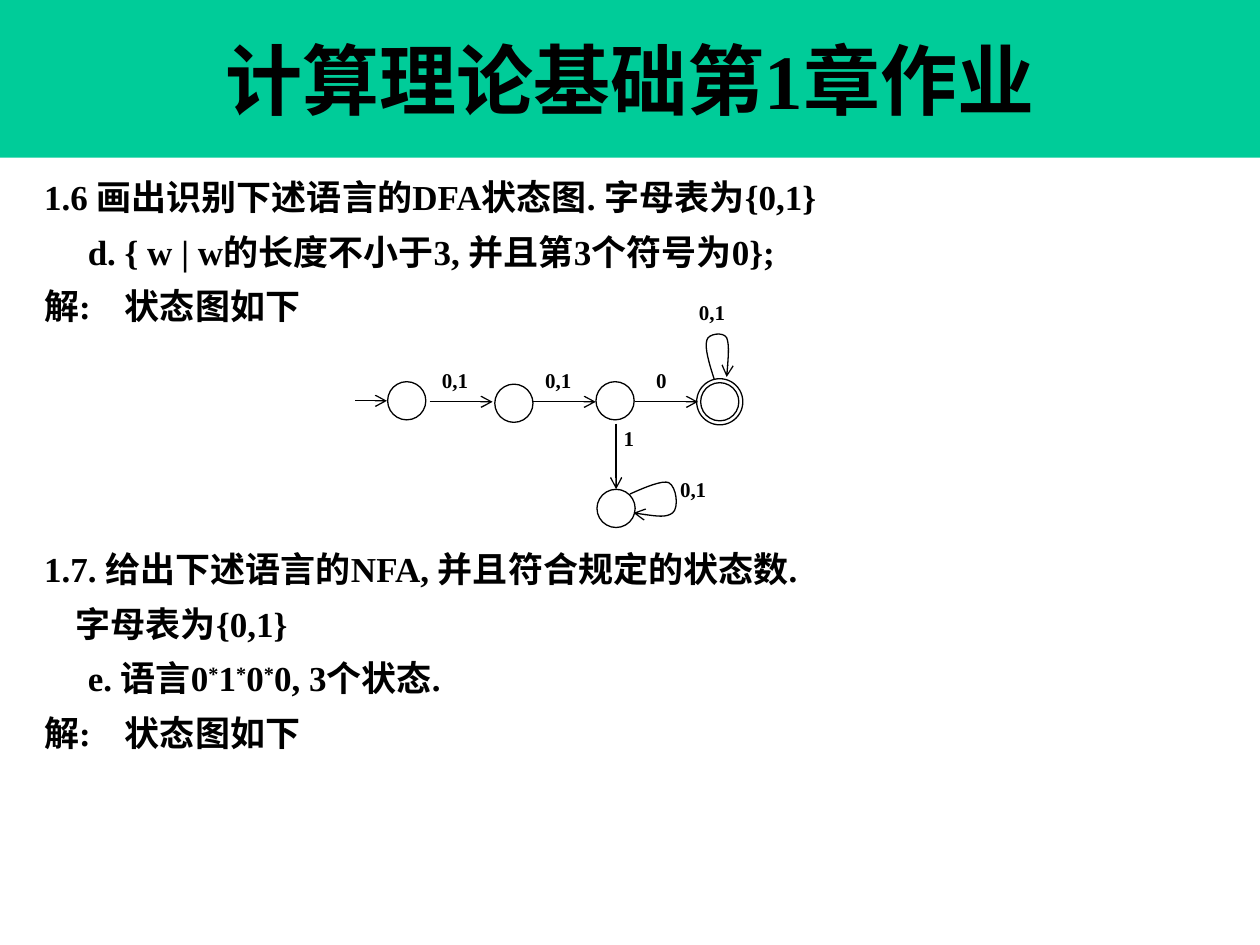
from lxml import etree
from pptx import Presentation, util as u
from pptx.dml.color import RGBColor
from pptx.enum import shapes, text
from pptx.oxml import ns

COLORS = {"banner": "00CC99", "ink": "000000"}
FONT = "Times New Roman"
STATE = 0.77
RING = 0.93


def rgb(name):
    return RGBColor.from_string(COLORS[name])


def add_run(p, content, size, raised=False):
    r = p.add_run()
    r.text = content
    f = r.font
    f.name, f.size, f.bold = FONT, u.Pt(size), True
    f.color.rgb = rgb("ink")
    if raised:
        r._r.get_or_add_rPr().set("baseline", "30000")


def style_line(sp, arrow=False):
    sp.line.color.rgb = rgb("ink")
    sp.line.width = u.Pt(0.75)
    if arrow:
        ln = sp.line._get_or_add_ln()
        etree.SubElement(ln, ns.qn("a:tailEnd"), type="arrow")


def add_title(s, x, y, w, h):
    sp = s.shapes.title
    sp.left, sp.top, sp.width, sp.height = map(u.Cm, (x, y, w, h))
    sp.fill.solid()
    sp.fill.fore_color.rgb = rgb("banner")
    tf = sp.text_frame
    tf.auto_size = text.MSO_AUTO_SIZE.NONE
    tf.vertical_anchor = text.MSO_ANCHOR.MIDDLE
    p = tf.paragraphs[0]
    p.alignment = text.PP_ALIGN.CENTER
    add_run(p, "计算理论基础第1章作业", 44)


def add_exercise(s, x, y, w, h, lines):
    tf = s.shapes.add_textbox(*map(u.Cm, (x, y, w, h))).text_frame
    tf.word_wrap = True
    for i, (indent, runs) in enumerate(lines):
        p = tf.add_paragraph() if i else tf.paragraphs[0]
        p.line_spacing = 1.1
        p.space_before = p.space_after = u.Pt(2.4)
        pPr = p._p.get_or_add_pPr()
        pPr.set("marL", str(u.Cm(indent)))
        tabs = etree.SubElement(pPr, ns.qn("a:tabLst"))
        etree.SubElement(tabs, ns.qn("a:tab"), pos=str(u.Cm(1.63)), algn="l")
        for content in runs:
            add_run(p, content, 20, raised=content == "*")


def add_circle(s, cx, cy, d):
    sp = s.shapes.add_shape(shapes.MSO_SHAPE.OVAL, u.Cm(cx - d / 2),
                            u.Cm(cy - d / 2), u.Cm(d), u.Cm(d))
    sp.shadow.inherit = False
    sp.fill.background()
    style_line(sp)


def add_edge(s, x1, y1, x2, y2):
    sp = s.shapes.add_connector(shapes.MSO_CONNECTOR.STRAIGHT,
                                *map(u.Cm, (x1, y1, x2, y2)))
    style_line(sp, arrow=True)
    etree.SubElement(sp._element.spPr, ns.qn("a:effectLst"))


def add_loop(s, points):
    start, *rest = [(u.Cm(x), u.Cm(y)) for x, y in points]
    builder = s.shapes.build_freeform(*start)
    builder.add_line_segments(rest, close=False)
    sp = builder.convert_to_shape()
    segments = list(sp._element.iter(ns.qn("a:lnTo")))
    outline = segments[0].getparent()
    for i in range(0, len(segments), 3):
        curve = etree.SubElement(outline, ns.qn("a:cubicBezTo"))
        for segment in segments[i:i + 3]:
            curve.append(segment[0])
            outline.remove(segment)
    sp.shadow.inherit = False
    sp.fill.background()
    style_line(sp, arrow=True)


def add_label(s, x, y, content):
    width = 1.27 if len(content) > 1 else 0.89
    tf = s.shapes.add_textbox(*map(u.Cm, (x, y, width, 0.91))).text_frame
    tf.word_wrap = False
    p = tf.paragraphs[0]
    p.alignment = text.PP_ALIGN.JUSTIFY
    add_run(p, content, 12)


def add_automaton(s, x, y):
    accept = (7.35, 2.18)
    states = [(1.04, 2.16), (3.2, 2.21), (5.24, 2.16), accept, (5.26, 4.33)]
    for cx, cy in states:
        add_circle(s, x + cx, y + cy, STATE)
    add_circle(s, x + accept[0], y + accept[1], RING)

    edges = [(0, 2.16, 0.64, 2.16), (5.26, 2.62, 5.26, 3.94)]
    edges += [(left, 2.18, left + 1.27, 2.18) for left in (1.5, 3.58, 5.64)]
    for x1, y1, x2, y2 in edges:
        add_edge(s, x + x1, y + y1, x + x2, y + y2)

    accept_loop = [(7.24, 1.73), (7.14, 1.42), (7.04, 1.09), (7.09, 0.94),
                   (7.11, 0.81), (7.42, 0.76), (7.49, 0.89),
                   (7.54, 1.02), (7.52, 1.35), (7.49, 1.68)]
    sink_loop = [(5.54, 4.04), (5.87, 3.89), (6.2, 3.76), (6.32, 3.81),
                 (6.48, 3.89), (6.53, 4.32), (6.4, 4.42),
                 (6.27, 4.52), (5.94, 4.47), (5.61, 4.42)]
    for loop in (accept_loop, sink_loop):
        add_loop(s, [(x + px, y + py) for px, py in loop])

    labels = [(1.5, 1.37, "0,1"), (3.58, 1.37, "0,1"), (5.82, 1.37, "0"),
              (5.16, 2.54, "1"), (6.68, 0, "0,1"), (6.3, 3.56, "0,1")]
    for lx, ly, content in labels:
        add_label(s, x + lx, y + ly, content)


def main():
    prs = Presentation()
    prs.slide_width, prs.slide_height = u.Cm(25.4), u.Cm(19.05)
    s = prs.slides.add_slide(prs.slide_layouts[5])
    add_title(s, 0, 0, 25.4, 3.18)
    answer = (0, ["解:\t状态图如下"])
    add_exercise(s, 0.64, 3.33, 24.28, 3.5, [
        (0, ["1.6 画出识别下述语言的DFA状态图. 字母表为{0,1}"]),
        (0.88, ["d. { w | w的长度不小于3, 并且第3个符号为0};"]),
        answer,
    ])
    add_automaton(s, 7.16, 5.92)
    add_exercise(s, 0.64, 10.83, 24.28, 4.6, [
        (0, ["1.7. 给出下述语言的NFA, 并且符合规定的状态数."]),
        (0.64, ["字母表为{0,1}"]),
        (0.88, ["e. 语言0", "*", "1", "*", "0", "*", "0, 3个状态."]),
        answer,
    ])
    prs.save("out.pptx")


if __name__ == "__main__":
    main()
